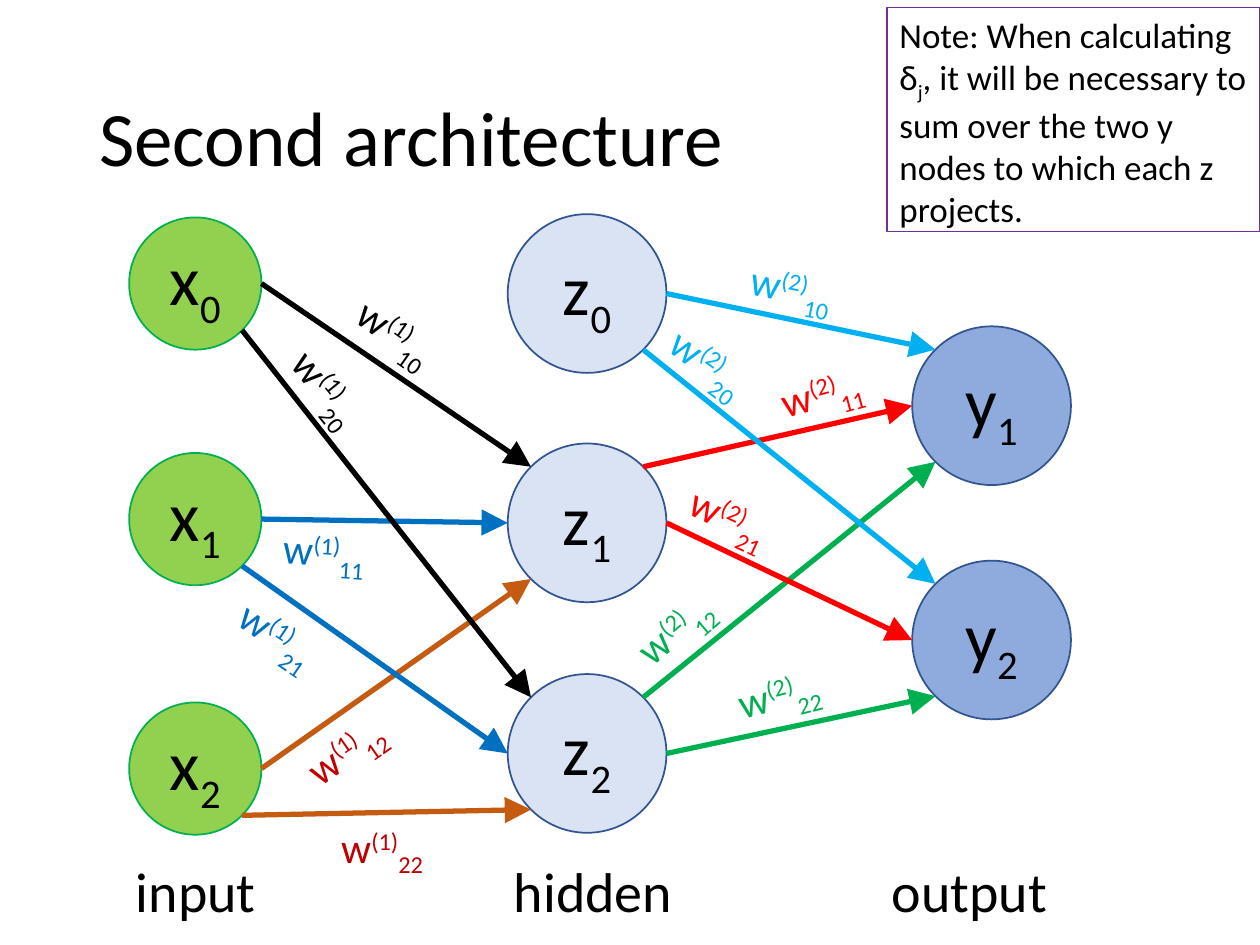
"""Build a slide of a two-layer neural network with labelled weights."""
import math

import lxml.etree
import pptx
import pptx.dml.color
import pptx.enum.shapes
import pptx.enum.text
import pptx.oxml.ns
import pptx.util

COLORS = {
    "black": "000000", "blue": "0070C0", "brown": "C55A11", "dark red": "C00000",
    "sky": "00B0F0", "red": "FF0000", "green": "00B050", "outline": "325491",
    "input": "92D050", "hidden": "DAE3F3", "output": "8FAADC", "purple": "7030A0",
}
FONT = "Calibri"
SUPERSCRIPT, SUBSCRIPT = 30, -25
TITLE = "Second architecture"
NOTE = [
    ("Note: When calculating δ", 0),
    ("j", SUBSCRIPT),
    (", it will be necessary to sum over the two y nodes to which each z projects.", 0),
]
CAPTION_LEFT, CAPTION_STEP, CAPTION_TOP = 0.98, 3, 6.75

# layer: letter, first index, centre x, diameter, outline, centre rows
LAYERS = {
    "input": ("x", 0, 1.55, 1.05, "green", (2.25, 4.12, 6.1)),
    "hidden": ("z", 0, 4.66, 1.26, "outline", (2.33, 4.15, 5.98)),
    "output": ("y", 1, 7.87, 1.26, "outline", (3.22, 5.08)),
}
SITES = ["top", "top left", "left", "bottom left", "bottom", "bottom right", "right", "top right"]
EDGES = [
    ("x0", "right", "z1", "top left", "black"),
    ("x1", "right", "z1", "left", "blue"),
    ("x2", "right", "z1", "bottom left", "brown"),
    ("z1", "top right", "y1", "left", "red"),
    ("z0", "right", "y1", "top left", "sky"),
    ("z2", "right", "y2", "bottom left", "green"),
    ("z2", "top right", "y1", "bottom left", "green"),
    ("z1", "right", "y2", "left", "red"),
    ("z0", "bottom right", "y2", "top left", "sky"),
    ("x0", "bottom right", "z2", "top left", "black"),
    ("x1", "bottom right", "z2", "left", "blue"),
    ("x2", "bottom right", "z2", "bottom left", "brown"),
]
LABEL_SIZE = (0.92, 0.5)
WEIGHTS = [
    ("(1)", "10", 2.72, 2.4, 35.1, "black"),
    ("(1)", "20", 2.17, 2.85, 51.2, "black"),
    ("(1)", "11", 2.15, 4.12, 4.1, "blue"),
    ("(1)", "21", 1.78, 4.8, 34, "blue"),
    ("(1)", "12", 2.3, 5.68, -35.1, "dark red"),
    ("(1)", "22", 2.61, 6.47, 0, "dark red"),
    ("(2)", "10", 5.86, 2.03, 11.4, "sky"),
    ("(2)", "20", 5.2, 2.64, 36.3, "sky"),
    ("(2)", "11", 6.09, 2.85, -15.1, "red"),
    ("(2)", "21", 5.37, 3.86, 25.4, "red"),
    ("(2)", "12", 4.91, 4.71, -40.3, "green"),
    ("(2)", "22", 5.75, 5.24, -14.4, "green"),
]


def rgb(name):
    return pptx.dml.color.RGBColor.from_string(COLORS[name])


def inches(*lengths):
    return [pptx.util.Inches(length) for length in lengths]


def write(shape, pieces, size, color="black"):
    """Write (text, baseline percent) pieces as runs of the first paragraph."""
    paragraph = shape.text_frame.paragraphs[0]
    for text, baseline in pieces:
        run = paragraph.add_run()
        run.text = text
        run.font.name = FONT
        run.font.size = pptx.util.Pt(size)
        run.font.color.rgb = rgb(color)
        if baseline:
            run.font._element.set("baseline", str(baseline * 1000))
    return paragraph


def add_text(slide, box, pieces, size, color="black", wrap=False):
    shape = slide.shapes.add_textbox(*inches(*box))
    shape.text_frame.word_wrap = wrap
    write(shape, pieces, size, color)
    return shape


def add_node(slide, center, diameter, pieces, fill, outline):
    left, top = (value - diameter / 2 for value in center)
    shape = slide.shapes.add_shape(
        pptx.enum.shapes.MSO_SHAPE.OVAL, *inches(left, top, diameter, diameter))
    shape.shadow.inherit = False
    shape.fill.solid()
    shape.fill.fore_color.rgb = rgb(fill)
    shape.line.color.rgb = rgb(outline)
    shape.line.width = pptx.util.Pt(1)
    shape.text_frame.vertical_anchor = pptx.enum.text.MSO_ANCHOR.MIDDLE
    write(shape, pieces, 40).alignment = pptx.enum.text.PP_ALIGN.CENTER
    return shape


def site_point(node, site):
    """Return the point of a connection site, counted anticlockwise from the top."""
    angle = math.radians(90 + 45 * SITES.index(site))
    radius = node.width / 2
    return (round(node.left + radius * (1 + math.cos(angle))),
            round(node.top + radius * (1 - math.sin(angle))))


def add_arrow(slide, start, start_site, end, end_site, color):
    connector = slide.shapes.add_connector(
        pptx.enum.shapes.MSO_CONNECTOR.STRAIGHT,
        *site_point(start, start_site), *site_point(end, end_site))
    connector.line.color.rgb = rgb(color)
    connector.line.width = pptx.util.Pt(3)
    qn = pptx.oxml.ns.qn
    element = connector._element
    links = element.find(".//" + qn("p:cNvCxnSpPr"))
    for tag, node, site in (("a:stCxn", start, start_site), ("a:endCxn", end, end_site)):
        lxml.etree.SubElement(links, qn(tag), id=str(node.shape_id), idx=str(SITES.index(site)))
    lxml.etree.SubElement(
        element.find(".//" + qn("a:ln")), qn("a:tailEnd"), type="triangle", w="lg", len="lg")
    lxml.etree.SubElement(element.spPr, qn("a:effectLst"))


def main():
    presentation = pptx.Presentation()
    presentation.slide_width, presentation.slide_height = inches(10, 7.5)
    slide = presentation.slides.add_slide(presentation.slide_layouts[6])

    title = add_text(slide, (0.69, 0.4, 8.62, 1.45), [(TITLE, 0)], 44, wrap=True)
    title.text_frame.vertical_anchor = pptx.enum.text.MSO_ANCHOR.MIDDLE
    title.text_frame.paragraphs[0].line_spacing = 0.9

    nodes = {}
    for column, (layer, details) in enumerate(LAYERS.items()):
        letter, first, center_x, diameter, outline, rows = details
        caption_left = CAPTION_LEFT + column * CAPTION_STEP
        add_text(slide, (caption_left, CAPTION_TOP, 1.8, 0.64), [(layer, 0)], 32, wrap=True)
        for index, center_y in enumerate(rows, first):
            pieces = [(letter, 0), (str(index), SUBSCRIPT)]
            nodes[f"{letter}{index}"] = add_node(
                slide, (center_x, center_y), diameter, pieces, layer, outline)

    for start, start_site, end, end_site, color in EDGES:
        add_arrow(slide, nodes[start], start_site, nodes[end], end_site, color)

    for layer, indices, left, top, rotation, color in WEIGHTS:
        pieces = [("w", 0), (layer, SUPERSCRIPT), (indices, SUBSCRIPT)]
        label = add_text(slide, (left, top, *LABEL_SIZE), pieces, 24, color)
        label.rotation = rotation

    note = add_text(slide, (7.04, 0.06, 2.96, 1.78), NOTE, 20, wrap=True)
    note.line.color.rgb = rgb("purple")
    note.line.width = pptx.util.Pt(0.75)

    presentation.save("out.pptx")


if __name__ == "__main__":
    main()
